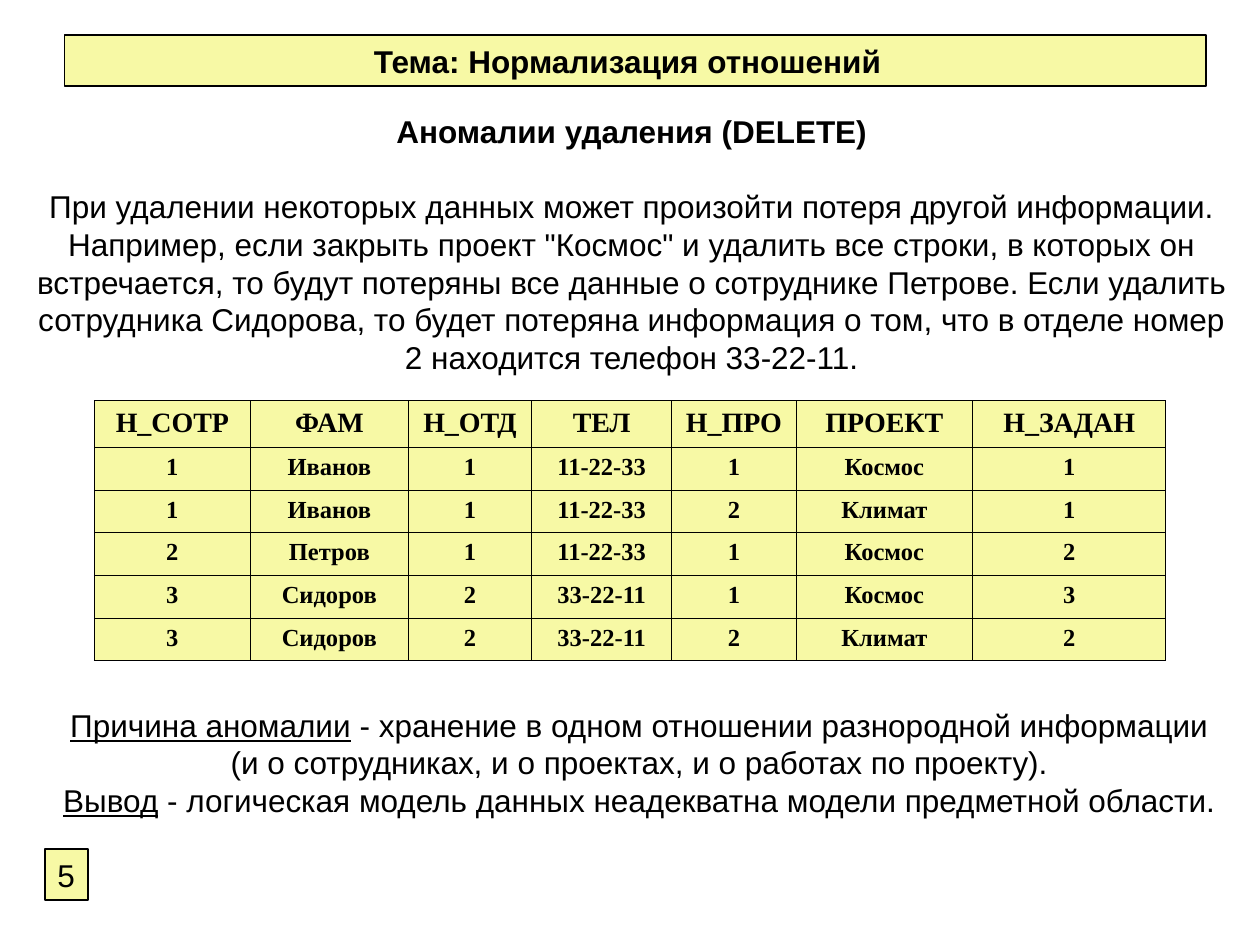
from lxml.etree import SubElement
from pptx import Presentation
from pptx.dml.color import RGBColor
from pptx.enum.shapes import MSO_SHAPE
from pptx.enum.text import MSO_ANCHOR, MSO_AUTO_SIZE, PP_ALIGN
from pptx.oxml.ns import qn
from pptx.util import Cm, Pt

HUES = {"pale": "F7F9A5", "ink": "000000"}
SANS, SERIF = "Arial", "Times New Roman"
HEAD = ["Н_СОТР", "ФАМ", "Н_ОТД", "ТЕЛ", "Н_ПРО", "ПРОЕКТ", "Н_ЗАДАН"]
ROWS = [
    ["1", "Иванов", "1", "11-22-33", "1", "Космос", "1"],
    ["1", "Иванов", "1", "11-22-33", "2", "Климат", "1"],
    ["2", "Петров", "1", "11-22-33", "1", "Космос", "2"],
    ["3", "Сидоров", "2", "33-22-11", "1", "Космос", "3"],
    ["3", "Сидоров", "2", "33-22-11", "2", "Климат", "2"],
]
COLS = [3.15, 3.18, 2.49, 2.82, 2.51, 3.56, 3.89]
LOSS = (
    'При удалении некоторых данных может произойти потеря другой информации. '
    'Например, если закрыть проект "Космос" и удалить все строки, в которых он '
    'встречается, то будут потеряны все данные о сотруднике Петрове. Если удалить '
    'сотрудника Сидорова, то будет потеряна информация о том, что в отделе номер '
    '2 находится телефон 33-22-11.'
)
CAUSE = (
    " - хранение в одном отношении разнородной информации "
    "(и о сотрудниках, и о проектах, и о работах по проекту)."
)
MORAL = " - логическая модель данных неадекватна модели предметной области."


def tint(name):
    """Return the named colour."""
    return RGBColor.from_string(HUES[name])


def write(para, text, size=18, face=SANS, bold=False, line=False):
    """Add one formatted run to a paragraph."""
    run = para.add_run()
    run.text = text
    font = run.font
    font.size, font.name = Pt(size), face
    font.bold, font.underline = bold, line
    font.color.rgb = tint("ink")


def place(shape, box):
    """Move a shape to a box given in centimetres."""
    shape.left, shape.top, shape.width, shape.height = map(Cm, box)


def paint(shape):
    """Give a shape the pale fill and thin dark outline."""
    shape.fill.solid()
    shape.fill.fore_color.rgb = tint("pale")
    shape.line.color.rgb = tint("ink")
    shape.line.width = Pt(1)


def banner(slide, box):
    """Set the topic in the title placeholder."""
    title = slide.shapes.title
    place(title, box)
    paint(title)
    frame = title.text_frame
    frame.auto_size = MSO_AUTO_SIZE.NONE
    frame.vertical_anchor = MSO_ANCHOR.MIDDLE
    frame.margin_right = Cm(0.56)
    para = frame.paragraphs[0]
    para.alignment = PP_ALIGN.CENTER
    write(para, "Тема: Нормализация отношений", bold=True)


def badge(slide, box):
    """Draw the framed page number."""
    shape = slide.shapes.add_shape(MSO_SHAPE.RECTANGLE, *map(Cm, box))
    shape.shadow.inherit = False
    paint(shape)
    frame = shape.text_frame
    frame.word_wrap = False
    para = frame.paragraphs[0]
    para.alignment = PP_ALIGN.LEFT
    write(para, "5")


def prose(slide, box):
    """Add a wrapped text box and return its frame."""
    frame = slide.shapes.add_textbox(*map(Cm, box)).text_frame
    frame.word_wrap = True
    frame.vertical_anchor = MSO_ANCHOR.MIDDLE
    return frame


def intro(slide, box):
    """Write the heading and the account of the anomaly."""
    frame = prose(slide, box)
    frame.margin_bottom = 0
    head, body = frame.paragraphs[0], frame.add_paragraph()
    head.alignment = body.alignment = PP_ALIGN.CENTER
    body.space_before = Pt(21)
    write(head, "Аномалии удаления (DELETE)", bold=True)
    write(body, LOSS)


def outro(slide, box):
    """Write the cause and the conclusion with underlined lead words."""
    frame = prose(slide, box)
    paras = frame.paragraphs[0], frame.add_paragraph()
    parts = ("Причина аномалии", CAUSE), ("Вывод", MORAL)
    for para, (lead, rest) in zip(paras, parts):
        para.alignment = PP_ALIGN.CENTER
        write(para, lead, line=True)
        write(para, rest)


def border(cell):
    """Rule all four sides of a table cell."""
    props = cell._tc.get_or_add_tcPr()
    for side in ("a:lnL", "a:lnR", "a:lnT", "a:lnB"):
        edge = SubElement(props, qn(side), w=str(Pt(0.45)))
        fill = SubElement(edge, qn("a:solidFill"))
        SubElement(fill, qn("a:srgbClr"), val=HUES["ink"])


def grid(slide, box):
    """Build the table of staff, phones and projects."""
    data = [HEAD] + ROWS
    table = slide.shapes.add_table(len(data), len(HEAD), *map(Cm, box)).table
    for col, width in zip(table.columns, COLS):
        col.width = Cm(width)
    for r, row in enumerate(data):
        table.rows[r].height = Cm(0.86 if r else 0.94)
        for c, text in enumerate(row):
            cell = table.cell(r, c)
            border(cell)
            cell.fill.solid()
            cell.fill.fore_color.rgb = tint("pale")
            para = cell.text_frame.paragraphs[0]
            para.alignment = PP_ALIGN.CENTER
            write(para, text, 14 if r else 16, SERIF, bold=True)


def main():
    """Build the slide and save it."""
    deck = Presentation()
    deck.slide_width, deck.slide_height = Cm(25.4), Cm(19.05)
    slide = deck.slides.add_slide(deck.slide_layouts[5])
    banner(slide, (1.3, 0.71, 23.01, 1.02))
    badge(slide, (0.91, 17.12, 0.86, 1.02))
    intro(slide, (0.38, 2.13, 24.71, 5.46))
    grid(slide, (1.9, 8.08, sum(COLS), 5.24))
    outro(slide, (0.89, 13.72, 24, 3.3))
    deck.save("out.pptx")


if __name__ == "__main__":
    main()
